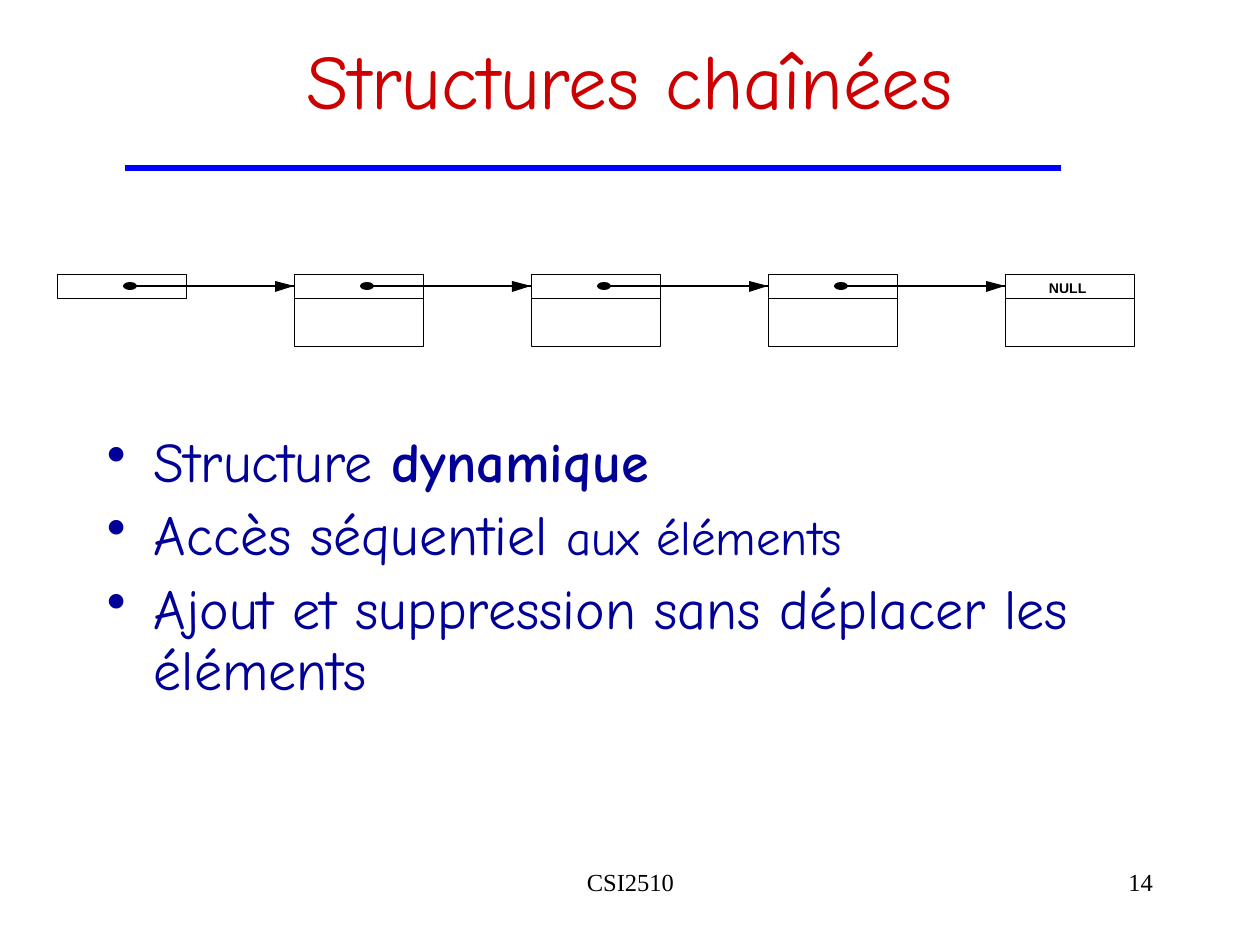
from lxml.etree import SubElement
from pptx import Presentation
from pptx.dml.color import RGBColor
from pptx.enum.shapes import MSO_CONNECTOR as LINE, MSO_SHAPE as SHAPE
from pptx.enum.text import MSO_ANCHOR as ANCHOR, PP_ALIGN as ALIGN
from pptx.oxml.ns import qn
from pptx.util import Pt

EMU_PER_PX = 914400 / 126
BLACK, WHITE, NAVY, RED, BLUE = "000000", "FFFFFF", "000099", "CC0000", "0000FF"
HAND = "Comic Neue"


def px(length):
    """Turn px into EMU."""
    return round(length * EMU_PER_PX)


def color(hex_code):
    """Turn a hex string into a colour."""
    return RGBColor.from_string(hex_code)


def style_run(run, size, font, hex_code, bold=False):
    """Format one run."""
    run.font.size = Pt(size)
    run.font.name = font
    run.font.bold = bold
    run.font.color.rgb = color(hex_code)


def add_frame(slide, box, margins=(13, 6), wrap=True):
    """Add a text box and return its text frame."""
    frame = slide.shapes.add_textbox(*map(px, box)).text_frame
    frame.word_wrap = wrap
    frame.margin_left = frame.margin_right = px(margins[0])
    frame.margin_top = frame.margin_bottom = px(margins[1])
    return frame


def add_label(slide, box, text, size, font, hex_code, align=ALIGN.LEFT, bold=False, **frame_options):
    """Add a single line of text and return its frame."""
    frame = add_frame(slide, box, **frame_options)
    frame.text = text
    frame.paragraphs[0].alignment = align
    style_run(frame.paragraphs[0].runs[0], size, font, hex_code, bold)
    return frame


def add_line(slide, start, end, hex_code, width):
    """Add a straight line without shadow."""
    line = slide.shapes.add_connector(LINE.STRAIGHT, *map(px, start + end))
    line.line.color.rgb = color(hex_code)
    line.line.width = Pt(width)
    SubElement(line._element.spPr, qn("a:effectLst"))
    return line


def paint(shape, fill):
    """Give a shape a plain fill and no shadow."""
    shape.shadow.inherit = False
    shape.fill.solid()
    shape.fill.fore_color.rgb = color(fill)


def add_cell(slide, box):
    """Add one white cell with a hairline border."""
    cell = slide.shapes.add_shape(SHAPE.RECTANGLE, *map(px, box))
    paint(cell, WHITE)
    cell.line.color.rgb = color(BLACK)
    cell.line.width = Pt(0.25)
    return cell


def add_pointer(slide, start, tip, target):
    """Add a dot, a line and an arrowhead that point at a cell."""
    (x, y), (tip_x, tip_y) = start, tip
    add_line(slide, start, tip, BLACK, 0.75).end_connect(target, 1)
    dot = slide.shapes.add_shape(SHAPE.OVAL, *map(px, (x - 7, y - 4, 14, 8)))
    outline = slide.shapes.build_freeform(tip_x - 19, tip_y - 5, scale=EMU_PER_PX)
    outline.add_line_segments([(tip_x, tip_y), (tip_x - 19, tip_y + 6)], close=True)
    for part in (dot, outline.convert_to_shape()):
        paint(part, BLACK)
        part.line.fill.background()


def add_linked_list(slide, box, nodes=4):
    """Draw the head cell and its chain of nodes."""
    left, top, width, height = box
    cell_width, link_height = 129, height // 3
    pitch = (width - cell_width) // nodes
    lefts = [left + i * pitch for i in range(nodes + 1)]
    links = [add_cell(slide, (x, top, cell_width, link_height)) for x in lefts]
    for x in lefts[1:]:
        add_cell(slide, (x, top + link_height, cell_width, height - link_height))
    middle = top + link_height // 2
    for x, next_x, target in zip(lefts, lefts[1:], links[1:]):
        add_pointer(slide, (x + 73, middle), (next_x, middle), target)
    add_label(slide, (lefts[-1] + 44, top + 6, 38, 34), "NULL", 8, "Arial", BLACK,
              bold=True, margins=(0, 0), wrap=False)


def add_header(slide, box):
    """Place the title and the rule under it."""
    left, top, width, height = box
    title = add_label(slide, box, "Structures chaînées", 44, HAND, RED, ALIGN.CENTER)
    title.vertical_anchor = ANCHOR.MIDDLE
    rule_y = top + height + 10
    add_line(slide, (left + 31, rule_y), (left + width - 105, rule_y), BLUE, 3.25)


def add_bullets(slide, box):
    """Place the bulleted properties."""
    bullets = [
        (8, [("Structure ", 32, False), ("dynamique", 32, True)]),
        (7, [("Accès séquentiel ", 32, False), ("aux éléments", 28, False)]),
        (8, [("Ajout et suppression sans déplacer les éléments", 32, False)]),
    ]
    frame = add_frame(slide, box)
    for i, (space, pieces) in enumerate(bullets):
        bullet = frame.add_paragraph() if i else frame.paragraphs[0]
        bullet.line_spacing = 0.9
        bullet.space_before = Pt(space)
        properties = bullet._p.get_or_add_pPr()
        properties.set("marL", str(px(47)))
        properties.set("indent", str(px(-47)))
        SubElement(SubElement(properties, qn("a:buClr")), qn("a:srgbClr"), val=NAVY)
        SubElement(properties, qn("a:buChar"), char="•")
        for text, size, bold in pieces:
            run = bullet.add_run()
            run.text = text
            style_run(run, size, HAND, NAVY, bold)


def add_footer(slide, box):
    """Place the course code and the page number."""
    left, top, width, height = box
    for x, w, text, align in ((left, 399, "CSI2510", ALIGN.CENTER),
                              (left + width - 262, 262, "14", ALIGN.RIGHT)):
        add_label(slide, (x, top, w, height), text, 14, "Times New Roman", BLACK, align)


def main():
    """Build and save the slide."""
    deck = Presentation()
    deck.slide_width, deck.slide_height = px(1260), px(945)
    slide = deck.slides.add_slide(deck.slide_layouts[6])
    add_footer(slide, (431, 861, 735, 63))
    add_bullets(slide, (94, 428, 1072, 347))
    add_linked_list(slide, (57, 274, 1077, 72))
    add_header(slide, (94, 0, 1072, 158))
    deck.save("out.pptx")


if __name__ == "__main__":
    main()
